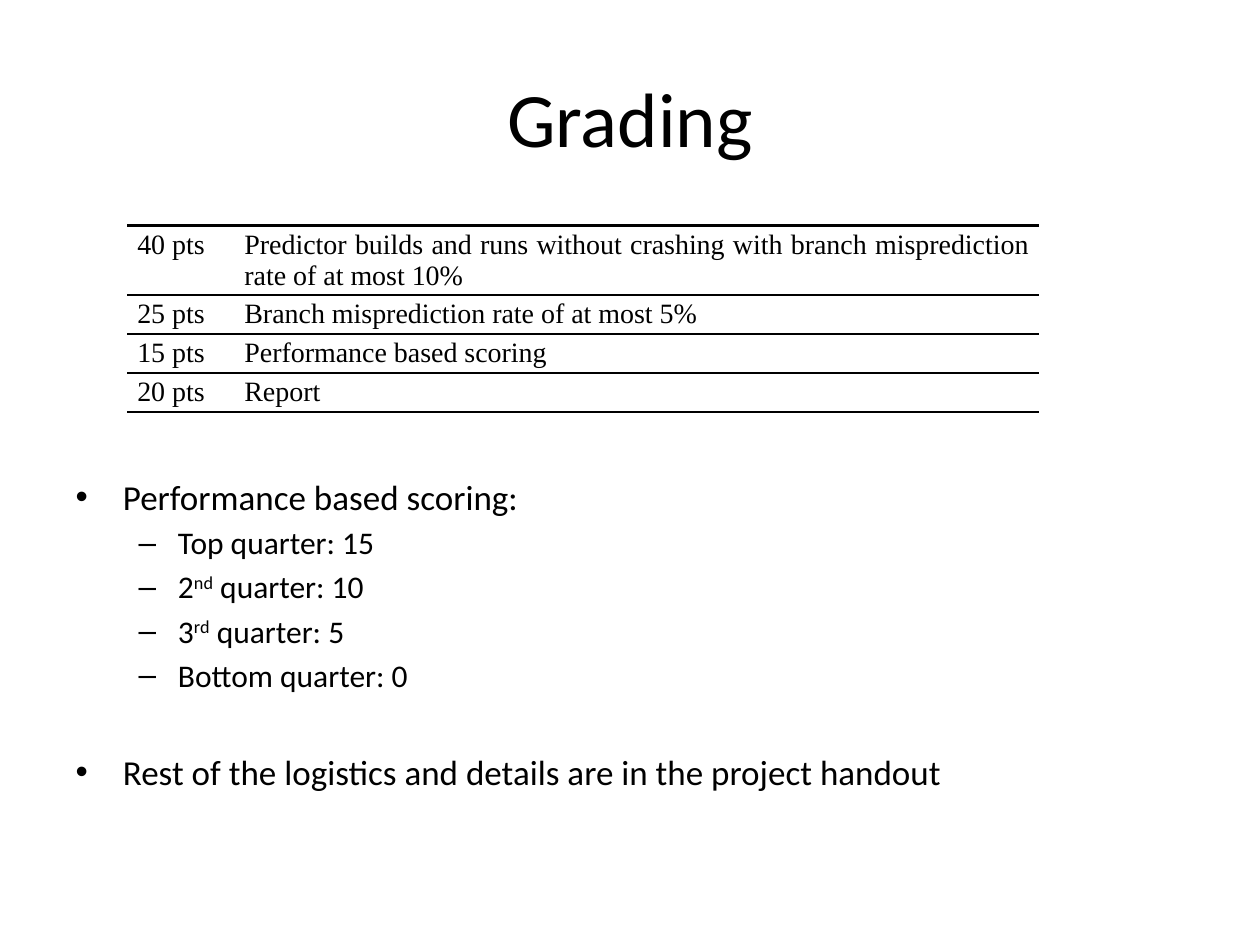
from lxml.etree import SubElement
from pptx import Presentation
from pptx.dml.color import RGBColor
from pptx.enum.text import MSO_ANCHOR, PP_ALIGN
from pptx.oxml.ns import qn
from pptx.util import Inches, Pt

COLORS = {"text": "000000", "rule": "000000"}
BODY_FONT = "Calibri"
TABLE_FONT = "Times New Roman"

GRADES = [
    ("40 pts", "Predictor builds and runs without crashing with branch "
               "misprediction rate of at most 10%"),
    ("25 pts", "Branch misprediction rate of at most 5%"),
    ("15 pts", "Performance based scoring"),
    ("20 pts", "Report"),
]
# Level, space before in points, then text pieces; every second piece is raised
BULLETS = [
    (0, 0, ["Performance based scoring:"]),
    (1, 3.6, ["Top quarter: 15"]),
    (1, 3.6, ["2", "nd", " quarter: 10"]),
    (1, 3.6, ["3", "rd", " quarter: 5"]),
    (1, 3.6, ["Bottom quarter: 0"]),
    (0, 32.4, ["Rest of the logistics and details are in the project handout"]),
]


def add_text(p, text, size, font=BODY_FONT, color="text", align=None, raised=False):
    r = p.add_run()
    r.text = text
    r.font.size = Pt(size)
    r.font.name = font
    r.font.color.rgb = RGBColor.from_string(COLORS[color])
    if raised:
        r.font._element.set("baseline", "30000")
    if align is not None:
        p.alignment = align


def place(sp, left, top, width, height):
    sp.left, sp.top = Inches(left), Inches(top)
    sp.width, sp.height = Inches(width), Inches(height)


def set_borders(cell, **widths):
    """Draw the given sides (T, B) in points and clear the others."""
    tcPr = cell._tc.get_or_add_tcPr()
    for side in "LRTB":
        width = widths.get(side)
        ln = SubElement(tcPr, qn(f"a:ln{side}"))
        if width is None:
            SubElement(ln, qn("a:noFill"))
            continue
        ln.set("w", str(Pt(width)))
        fill = SubElement(ln, qn("a:solidFill"))
        SubElement(fill, qn("a:srgbClr")).set("val", COLORS["rule"])


def add_title(s, text):
    sp = s.shapes.title
    place(sp, 0.5, 0.3, 9, 1.25)
    sp.text_frame.vertical_anchor = MSO_ANCHOR.MIDDLE
    add_text(sp.text_frame.paragraphs[0], text, 44, align=PP_ALIGN.CENTER)


def add_bullets(s, bullets):
    sp = s.placeholders[1]
    place(sp, 0.5, 3.72, 9, 2.98)
    tf = sp.text_frame
    for i, (level, space, pieces) in enumerate(bullets):
        p = tf.add_paragraph() if i else tf.paragraphs[0]
        p.level = level
        p.space_before = Pt(space)
        for j, piece in enumerate(pieces):
            add_text(p, piece, 18 if level else 20, raised=j % 2 == 1)


def add_grade_table(s, rows):
    frame = s.shapes.add_table(len(rows), 2, Inches(1.01), Inches(1.79),
                               Inches(7.24), Inches(1.48))
    table = frame.table
    table.first_row = table.horz_banding = False
    for col, width in zip(table.columns, (0.85, 6.39)):
        col.width = Inches(width)
    for i, values in enumerate(rows):
        table.rows[i].height = Inches(0.31 if i else 0.55)
        for j, value in enumerate(values):
            cell = table.cell(i, j)
            cell.margin_left = cell.margin_right = Inches(0.08)
            cell.margin_top, cell.margin_bottom = Inches(0.03), Inches(0.02)
            set_borders(cell, T=1 if i else 1.5, B=1)
            cell.fill.background()
            add_text(cell.text_frame.paragraphs[0], value, 16,
                     font=TABLE_FONT, align=PP_ALIGN.JUSTIFY)


def main():
    prs = Presentation()
    prs.slide_width, prs.slide_height = Inches(10), Inches(7.5)
    s = prs.slides.add_slide(prs.slide_layouts[1])
    add_title(s, "Grading")
    add_bullets(s, BULLETS)
    add_grade_table(s, GRADES)
    prs.save("out.pptx")


if __name__ == "__main__":
    main()
